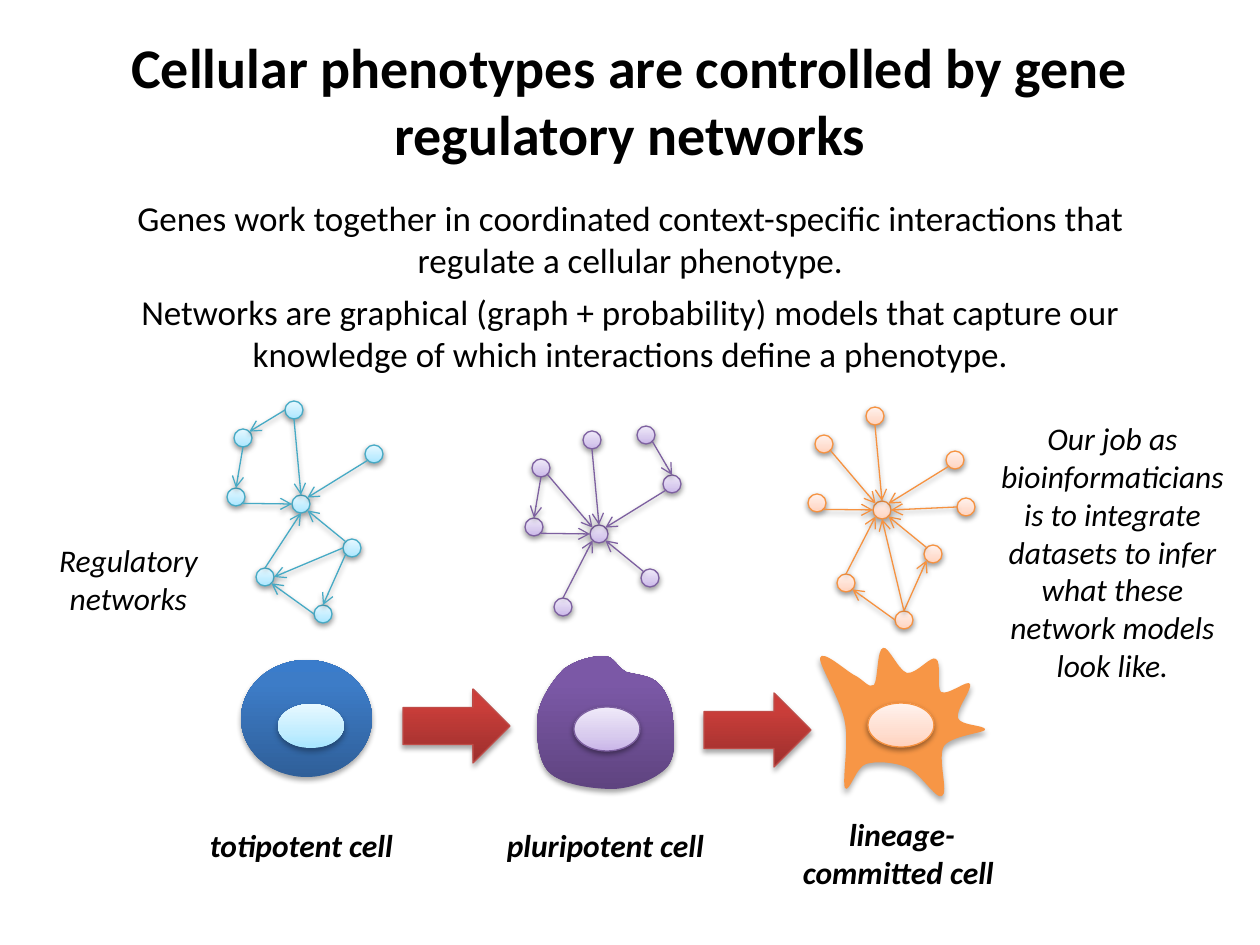
from copy import deepcopy
from dataclasses import dataclass
from math import cos, radians, sin
from typing import NamedTuple, Optional

from lxml.etree import SubElement
from pptx import Presentation
from pptx.dml.color import RGBColor
from pptx.enum.shapes import MSO_CONNECTOR as Connector, MSO_SHAPE as Preset
from pptx.enum.text import MSO_ANCHOR as Anchor, MSO_AUTO_SIZE as AutoSize, PP_ALIGN as Align
from pptx.oxml.ns import qn
from pptx.util import Emu, Pt

FONT = "Calibri"
EMU_PER_PX = 914400 / 126
NODE_SIZE = 18

BLACK = RGBColor(0x00, 0x00, 0x00)
BLUE_LINE = RGBColor(0x46, 0xAA, 0xC5)
PURPLE_LINE = RGBColor(0x7D, 0x60, 0xA0)
ORANGE_LINE = RGBColor(0xF6, 0x92, 0x40)
RED_LINE = RGBColor(0xBF, 0x4C, 0x48)
ORANGE = RGBColor(0xF7, 0x96, 0x46)


class Gradient(NamedTuple):
    bottom: RGBColor
    middle: RGBColor
    top: RGBColor
    middle_position: float


class Shadow(NamedTuple):
    alpha: int
    blur: float
    distance: float


class Edge(NamedTuple):
    source: str
    source_side: str
    target: str
    target_side: str


class Label(NamedTuple):
    text: str
    box: tuple[int, int, int, int]
    bold: bool


@dataclass
class Network:
    hub: tuple[int, int]
    fill: Gradient
    line: RGBColor
    nodes: dict[str, tuple[int, int]]
    edges: list[Edge]


PALE_BLUE = Gradient(RGBColor(0xA7, 0xE6, 0xFF), RGBColor(0xC1, 0xED, 0xFF), RGBColor(0xE7, 0xF8, 0xFF), 0.35)
PALE_PURPLE = Gradient(RGBColor(0xC9, 0xB5, 0xE8), RGBColor(0xD8, 0xCB, 0xEE), RGBColor(0xF0, 0xEA, 0xF9), 0.35)
PALE_ORANGE = Gradient(RGBColor(0xFF, 0xD2, 0xBD), RGBColor(0xFF, 0xDE, 0xD0), RGBColor(0xFF, 0xF2, 0xED), 0.35)
DEEP_BLUE = Gradient(RGBColor(0x2F, 0x5F, 0x99), RGBColor(0x3D, 0x7C, 0xC7), RGBColor(0x3A, 0x7C, 0xCB), 0.8)
DEEP_PURPLE = Gradient(RGBColor(0x5F, 0x44, 0x80), RGBColor(0x7B, 0x58, 0xA6), RGBColor(0x7C, 0x57, 0xA8), 0.8)
DEEP_RED = Gradient(RGBColor(0x9C, 0x2F, 0x2D), RGBColor(0xCB, 0x3E, 0x3A), RGBColor(0xCE, 0x3B, 0x37), 0.8)

LIGHT_SHADOW = Shadow(32, 3.5, 2.2)
CELL_SHADOW = Shadow(35, 3.1, 1.8)
NODE_SHADOW = Shadow(38, 3.1, 1.6)

SIDE_ANGLES = {side: 45 * step for step, side in enumerate(("E", "SE", "S", "SW", "W", "NW", "N", "NE"))}
SHARED_NODES = {"hub": (0, 0), "top": (-7, -94), "right": (73, -50), "low left": (-36, 73),
                "left": (-65, -7), "low right": (51, 44), "high left": (-58, -66)}
BOTTOM = {"bottom": (22, 110)}
SHARED_EDGES = [Edge("top", "S", "hub", "N"), Edge("right", "SW", "hub", "NE"),
                Edge("left", "SE", "hub", "W"), Edge("low right", "NW", "hub", "SE")]
DIAGONAL_EDGES = [Edge("low left", "N", "hub", "SW"), Edge("high left", "SE", "hub", "NW")]
LEFT_EDGE = Edge("high left", "S", "left", "N")
BOTTOM_EDGE = Edge("bottom", "W", "low left", "SE")

NETWORKS = [
    Network((301, 504), PALE_BLUE, BLUE_LINE, SHARED_NODES | BOTTOM, SHARED_EDGES + [
        LEFT_EDGE, BOTTOM_EDGE, Edge("low right", "SW", "bottom", "N"), Edge("top", "W", "high left", "NE"),
        Edge("low left", "N", "hub", "S"), Edge("low right", "W", "low left", "E")]),
    Network((599, 534), PALE_PURPLE, PURPLE_LINE, SHARED_NODES | {"high right": (47, -99)},
            SHARED_EDGES + DIAGONAL_EDGES + [LEFT_EDGE, Edge("high right", "SE", "right", "N")]),
    Network((882, 510), PALE_ORANGE, ORANGE_LINE, SHARED_NODES | BOTTOM | {"far right": (84, -3)},
            SHARED_EDGES + DIAGONAL_EDGES + [
                BOTTOM_EDGE, Edge("bottom", "N", "low right", "SW"), Edge("bottom", "N", "hub", "S"),
                Edge("far right", "W", "hub", "E")]),
]

PLURIPOTENT_OUTLINE = [
    (564, 669), (576, 660), (592, 656), (604, 656), (614, 656), (617, 667), (626, 672),
    (636, 675), (651, 675), (659, 684), (667, 692), (672, 706), (673, 719),
    (674, 733), (677, 756), (667, 767), (656, 779), (633, 788), (614, 789),
    (593, 789), (562, 785), (549, 772), (537, 760), (536, 731), (538, 714),
    (541, 697), (554, 679), (564, 669)]
COMMITTED_OUTLINE = [
    (854, 675), (863, 679), (869, 689), (874, 685), (878, 680), (877, 649), (883, 648),
    (888, 645), (898, 670), (907, 673), (917, 674), (931, 655), (936, 659),
    (942, 662), (936, 687), (941, 692), (948, 696), (968, 679), (970, 684),
    (973, 688), (955, 711), (958, 718), (960, 726), (987, 725), (985, 730),
    (983, 733), (951, 736), (944, 746), (937, 757), (949, 793), (942, 796),
    (936, 800), (920, 772), (906, 767), (893, 762), (876, 761), (866, 764),
    (856, 767), (849, 794), (845, 788), (842, 780), (849, 745), (845, 723),
    (842, 702), (819, 665), (820, 658), (822, 649), (845, 670), (854, 675)]

LABELS = [
    Label("totipotent cell", (183, 820, 237, 50), True),
    Label("pluripotent cell", (486, 820, 239, 50), True),
    Label("lineage-committed cell ", (775, 809, 254, 89), True),
    Label("Regulatory networks", (34, 535, 189, 89), False),
    Label("Our job as bioinformaticians is to integrate datasets to infer what these network models look like.",
          (980, 413, 265, 280), False),
]
INTRODUCTION = (
    "Genes work together in coordinated context-specific interactions that regulate a cellular phenotype.\n"
    "Networks are graphical (graph + probability) models that capture our knowledge of which interactions "
    "define a phenotype.")


def px(value: float) -> Emu:
    return Emu(round(value * EMU_PER_PX))


def add_shadow(effects, shadow: Shadow) -> None:
    outer = SubElement(effects, qn("a:outerShdw"), blurRad=str(Pt(shadow.blur)),
                       dist=str(Pt(shadow.distance)), dir="5400000", rotWithShape="0")
    color = SubElement(outer, qn("a:srgbClr"), val="000000")
    SubElement(color, qn("a:alpha"), val=str(shadow.alpha * 1000))


def format_shape(shape, fill, line: Optional[RGBColor], shadow: Shadow) -> None:
    if isinstance(fill, Gradient):
        shape.fill.gradient()
        shape.fill.gradient_angle = 90
        stop_list = shape._element.spPr.find(".//" + qn("a:gsLst"))
        stop_list.append(deepcopy(stop_list[-1]))
        positions = (0, fill.middle_position, 1)
        for stop, position, color in zip(shape.fill.gradient_stops, positions, fill[:3]):
            stop.position = position
            stop.color.rgb = color
    else:
        shape.fill.solid()
        shape.fill.fore_color.rgb = fill
    if line is None:
        shape.line.fill.background()
    else:
        shape.line.color.rgb = line
        shape.line.width = Pt(0.75)
    shape.shadow.inherit = False
    add_shadow(shape._element.spPr.find(qn("a:effectLst")), shadow)


def add_preset(slide, preset, box: tuple[int, int, int, int], fill, line, shadow: Shadow) -> None:
    format_shape(slide.shapes.add_shape(preset, *map(px, box)), fill, line, shadow)


def add_curved_outline(slide, controls: list[tuple[int, int]], fill, shadow: Shadow) -> None:
    builder = slide.shapes.build_freeform(*map(px, controls[0]))
    builder.add_line_segments([(px(x), px(y)) for x, y in controls[1:]], close=True)
    shape = builder.convert_to_shape()
    segments = list(shape._element.spPr.iter(qn("a:lnTo")))
    for start in range(0, len(segments), 3):
        curve = segments[start].makeelement(qn("a:cubicBezTo"))
        segments[start].addprevious(curve)
        for segment in segments[start:start + 3]:
            curve.append(segment[0])
            segment.getparent().remove(segment)
    format_shape(shape, fill, None, shadow)


def add_network(slide, network: Network) -> None:
    centers = {name: (network.hub[0] + x, network.hub[1] + y) for name, (x, y) in network.nodes.items()}
    radius = NODE_SIZE // 2

    def side_point(name: str, side: str) -> tuple[Emu, Emu]:
        x, y = centers[name]
        angle = radians(SIDE_ANGLES[side])
        return px(x + radius * cos(angle)), px(y + radius * sin(angle))

    for x, y in centers.values():
        add_preset(slide, Preset.OVAL, (x - radius, y - radius, NODE_SIZE, NODE_SIZE),
                   network.fill, network.line, NODE_SHADOW)
    for edge in network.edges:
        connector = slide.shapes.add_connector(
            Connector.STRAIGHT, *side_point(edge.source, edge.source_side),
            *side_point(edge.target, edge.target_side))
        connector.line.color.rgb = network.line
        connector.line.width = Pt(0.75)
        properties = connector._element.spPr
        SubElement(properties.find(qn("a:ln")), qn("a:tailEnd"), type="arrow")
        add_shadow(SubElement(properties, qn("a:effectLst")), NODE_SHADOW)


def write_text(shape, text: str, *, size: int, bold: bool = False, italic: bool = False,
               anchor=Anchor.TOP, auto_size=AutoSize.SHAPE_TO_FIT_TEXT, gap: int = 0) -> None:
    frame = shape.text_frame
    frame.word_wrap = True
    frame.auto_size = auto_size
    frame.vertical_anchor = anchor
    frame.text = text
    for paragraph in frame.paragraphs:
        paragraph.alignment = Align.CENTER
        font = paragraph.font
        font.name, font.size, font.bold, font.italic = FONT, Pt(size), bold, italic
        font.color.rgb = BLACK
    for paragraph in frame.paragraphs[:-1]:
        paragraph.space_after = Pt(gap)


def main() -> None:
    presentation = Presentation()
    presentation.slide_width, presentation.slide_height = px(1260), px(945)
    slide = presentation.slides.add_slide(presentation.slide_layouts[5])
    title = slide.shapes.title
    title.left, title.top, title.width, title.height = map(px, (0, 21, 1260, 158))
    write_text(title, "Cellular phenotypes are controlled by gene regulatory networks",
               size=32, bold=True, anchor=Anchor.MIDDLE, auto_size=AutoSize.NONE)

    add_curved_outline(slide, COMMITTED_OUTLINE, ORANGE, LIGHT_SHADOW)
    add_curved_outline(slide, PLURIPOTENT_OUTLINE, DEEP_PURPLE, CELL_SHADOW)
    add_preset(slide, Preset.OVAL, (241, 660, 131, 117), DEEP_BLUE, None, CELL_SHADOW)
    add_preset(slide, Preset.OVAL, (278, 704, 66, 44), PALE_BLUE, None, LIGHT_SHADOW)
    add_preset(slide, Preset.OVAL, (574, 707, 66, 44), PALE_PURPLE, PURPLE_LINE, NODE_SHADOW)
    add_preset(slide, Preset.OVAL, (868, 703, 66, 44), PALE_ORANGE, ORANGE_LINE, NODE_SHADOW)
    for left, top in ((403, 689), (704, 693)):
        add_preset(slide, Preset.RIGHT_ARROW, (left, top, 107, 74), DEEP_RED, RED_LINE, CELL_SHADOW)
    for network in NETWORKS:
        add_network(slide, network)

    for label in LABELS:
        write_text(slide.shapes.add_textbox(*map(px, label.box)), label.text,
                   size=18, bold=label.bold, italic=True)
    write_text(slide.shapes.add_textbox(*map(px, (65, 190, 1131, 193))), INTRODUCTION, size=20, gap=6)
    presentation.save("out.pptx")


if __name__ == "__main__":
    main()
